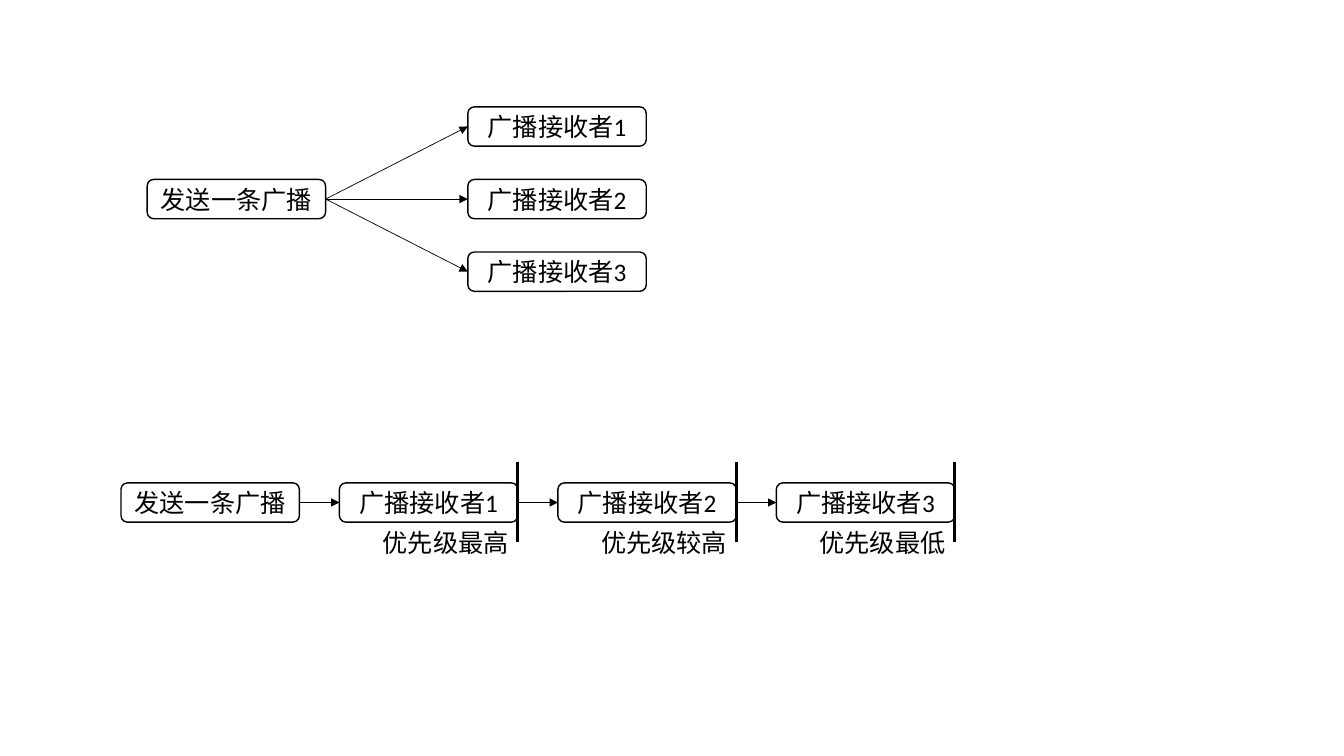
from dataclasses import dataclass

from lxml import etree
from pptx import Presentation
from pptx.dml.color import RGBColor
from pptx.enum import shapes, text
from pptx.oxml import ns
from pptx.util import Inches, Pt


@dataclass(frozen=True)
class Theme:
    ink: RGBColor = RGBColor(0, 0, 0)
    paper: RGBColor = RGBColor(255, 255, 255)
    font: str = "Calibri"
    size: Pt = Pt(18)
    outline: Pt = Pt(1)
    arrow: Pt = Pt(0.5)
    barrier: Pt = Pt(2.25)


theme = Theme()
BOX_WIDTH, BOX_HEIGHT = 1.77, 0.39
SENDER = "发送一条广播"
RECEIVERS = ["广播接收者1", "广播接收者2", "广播接收者3"]
PRIORITIES = ["优先级最高", "优先级较高", "优先级最低"]

deck = Presentation()
deck.slide_width, deck.slide_height = Inches(13.33), Inches(7.5)
page = deck.slides.add_slide(deck.slide_layouts[6])


def add_label(left, top, wording, boxed=True):
    """Add a rounded box, or a plain caption when boxed is False."""
    if boxed:
        box = page.shapes.add_shape(
            shapes.MSO_SHAPE.ROUNDED_RECTANGLE,
            Inches(left), Inches(top), Inches(BOX_WIDTH), Inches(BOX_HEIGHT))
        box.shadow.inherit = False
        box.fill.solid()
        box.fill.fore_color.rgb = theme.paper
        box.line.color.rgb = theme.ink
        box.line.width = theme.outline
        box.text_frame.vertical_anchor = text.MSO_ANCHOR.MIDDLE
    else:
        box = page.shapes.add_textbox(
            Inches(left), Inches(top), Inches(1.52), Inches(0.4))
        box.text_frame.auto_size = text.MSO_AUTO_SIZE.SHAPE_TO_FIT_TEXT
    box.text_frame.word_wrap = True
    para = box.text_frame.paragraphs[0]
    para.alignment = text.PP_ALIGN.CENTER if boxed else text.PP_ALIGN.LEFT
    span = para.add_run()
    span.text = wording
    span.font.name = theme.font
    span.font.size = theme.size
    span.font.color.rgb = theme.ink
    return box


def add_line(width, start=(0, 0), end=(0, 0), joins=None):
    """Draw a plain line, or an arrow from one box to the next given in joins."""
    line = page.shapes.add_connector(
        shapes.MSO_CONNECTOR.STRAIGHT,
        *(Inches(value) for value in (*start, *end)))
    line.line.color.rgb = theme.ink
    line.line.width = width
    if joins:
        line.begin_connect(joins[0], 3)
        line.end_connect(joins[1], 1)
        etree.SubElement(line.line._get_or_add_ln(), ns.qn("a:tailEnd"),
                         type="triangle")
    etree.SubElement(line._element.spPr, ns.qn("a:effectLst"))


# Normal broadcast: one sender reaches all receivers at once
sender = add_label(1.46, 1.78, SENDER)
for row, wording in enumerate(RECEIVERS):
    receiver = add_label(4.64, 1.06 + 0.72 * row, wording)
    add_line(theme.arrow, joins=(sender, receiver))

# Ordered broadcast: receivers take turns by priority
first_left, chain_top, step = 1.2, 4.79, 6.5 / 3
previous = add_label(first_left, chain_top, SENDER)
for place, (wording, priority) in enumerate(zip(RECEIVERS, PRIORITIES), start=1):
    left = first_left + step * place
    receiver = add_label(left, chain_top, wording)
    add_line(theme.arrow, joins=(previous, receiver))
    add_label(left + 0.33, 5.18, priority, boxed=False)
    right = left + BOX_WIDTH
    add_line(theme.barrier, (right, 4.58), (right, 5.38))
    previous = receiver

deck.save("out.pptx")
